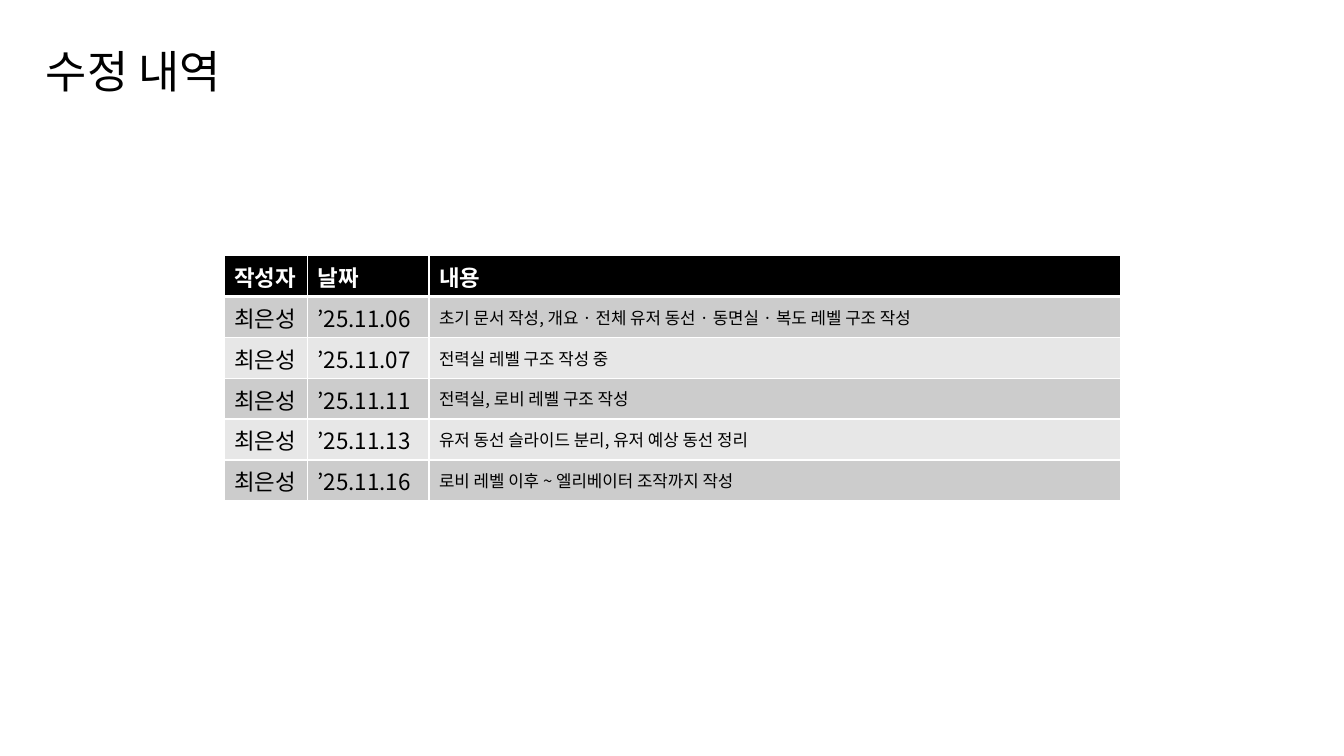
from pptx import Presentation
from pptx.dml.color import RGBColor
from pptx.enum.text import MSO_ANCHOR
from pptx.oxml.ns import qn
from pptx.util import Cm, Pt
from lxml import etree

MIDDLE, TOP = MSO_ANCHOR.MIDDLE, MSO_ANCHOR.TOP
FONT = "Noto Sans CJK KR"


def color(hex_text):
    return RGBColor.from_string(hex_text)


def write(paragraph, text, font_format):
    run = paragraph.add_run()
    run.text = text
    for name, value in font_format.items():
        setattr(run.font, name, value)
    run.font.name = FONT
    # East Asian typeface for the Korean text
    etree.SubElement(run.font._element, qn("a:ea"), typeface=FONT)
    return run


prs = Presentation()
prs.slide_width, prs.slide_height = Cm(33.87), Cm(19.05)
slide = prs.slides.add_slide(prs.slide_layouts[6])

# Title
title = slide.shapes.add_textbox(Cm(0.91), Cm(0.81), Cm(29.21), Cm(2.11))
title_frame = title.text_frame
title_frame.word_wrap = True
title_frame.vertical_anchor = MIDDLE
heading = title_frame.paragraphs[0]
heading.line_spacing = 0.9
write(heading, "수정 내역", {"size": Pt(32)}).font.color.rgb = color("000000")

# Revision history
AUTHOR = "최은성"
revisions = [
    ("작성자", "날짜", "내용"),
    (AUTHOR, "’25.11.06", "초기 문서 작성, 개요 · 전체 유저 동선 · 동면실 · 복도 레벨 구조 작성"),
    (AUTHOR, "’25.11.07", "전력실 레벨 구조 작성 중"),
    (AUTHOR, "’25.11.11", "전력실, 로비 레벨 구조 작성"),
    (AUTHOR, "’25.11.13", "유저 동선 슬라이드 분리, 유저 예상 동선 정리"),
    (AUTHOR, "’25.11.16", "로비 레벨 이후 ~ 엘리베이터 조작까지 작성"),
]
column_widths = [Cm(2.1), Cm(3.06), Cm(17.42)]
row_height = Cm(1.03)
history = slide.shapes.add_table(
    len(revisions), len(column_widths), Cm(5.65), Cm(6.44),
    sum(column_widths), row_height * len(revisions)).table
for column, width in zip(history.columns, column_widths):
    column.width = width

for row_no, revision in enumerate(revisions):
    history.rows[row_no].height = row_height
    is_header = row_no == 0
    if is_header:
        row_fill, text_color = "000000", "FFFFFF"
    else:
        row_fill, text_color = ("CCCCCC" if row_no % 2 else "E7E7E7"), "000000"
    # White rules, thicker under the header
    border_widths = {"lnL": 1, "lnR": 1,
                     "lnT": 3 if row_no == 1 else 1,
                     "lnB": 3 if is_header else 1}

    for column_no, entry in enumerate(revision):
        cell = history.cell(row_no, column_no)
        cell.vertical_anchor = TOP if is_header else MIDDLE
        cell.fill.solid()
        cell.fill.fore_color.rgb = color(row_fill)
        is_detail = column_no == 2 and not is_header
        text_format = {"size": Pt(12 if is_detail else 16), "bold": is_header}
        run = write(cell.text_frame.paragraphs[0], entry, text_format)
        run.font.color.rgb = color(text_color)

        cell_properties = cell._tc.get_or_add_tcPr()
        for position, (side, width) in enumerate(border_widths.items()):
            border = etree.Element(qn(f"a:{side}"), w=str(Pt(width)))
            border_fill = etree.SubElement(border, qn("a:solidFill"))
            etree.SubElement(border_fill, qn("a:srgbClr"), val="FFFFFF")
            cell_properties.insert(position, border)

prs.save("out.pptx")
